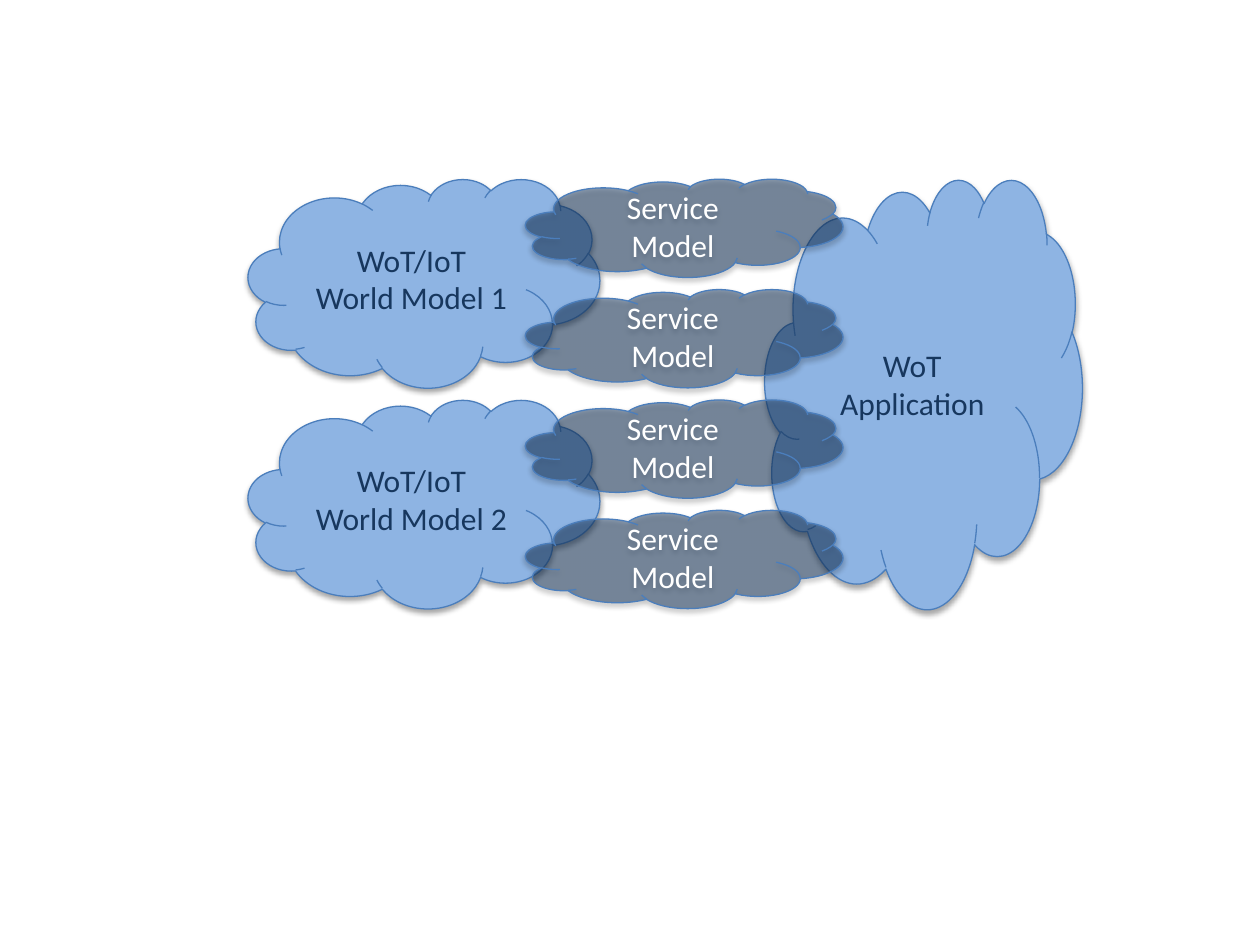
import pptx
import pptx.util
import pptx.dml.color
import pptx.enum.shapes
import pptx.enum.text
import pptx.oxml
import pptx.oxml.ns

TOP = 1.42
ROW_PITCH = 0.876
ROW_HEIGHT = 0.78
WORLD_COLUMN = (1.97, 2.79)
SERVICE_COLUMN = (4.17, 2.52)
APPLICATION_COLUMN = (6.07, 2.52)
SKY = "8EB4E3"
NAVY = "17375E"
OUTLINE = "4B7EBC"
WHITE = "FFFFFF"


def color(value):
    return pptx.dml.color.RGBColor.from_string(value)


def add_shadow(shape):
    shape.shadow.inherit = False
    effects = shape.element.spPr.find(pptx.oxml.ns.qn("a:effectLst"))
    effects.append(pptx.oxml.parse_xml(
        f'<a:outerShdw {pptx.oxml.ns.nsdecls("a")} blurRad="40000" dist="23000" '
        'dir="5400000" rotWithShape="0"><a:srgbClr val="000000">'
        '<a:alpha val="35000"/></a:srgbClr></a:outerShdw>'))


def set_opacity(shape, percent):
    fill = shape.element.spPr.find(pptx.oxml.ns.qn("a:solidFill"))
    fill[0].append(pptx.oxml.parse_xml(
        f'<a:alpha {pptx.oxml.ns.nsdecls("a")} val="{percent * 1000}"/>'))


def set_label(shape, text, text_color):
    frame = shape.text_frame
    frame.word_wrap = True
    frame.vertical_anchor = pptx.enum.text.MSO_ANCHOR.MIDDLE
    frame.text = text
    for para in frame.paragraphs:
        para.alignment = pptx.enum.text.PP_ALIGN.CENTER
        for span in para.runs:
            span.font.name = "Calibri"
            span.font.size = pptx.util.Pt(18)
            span.font.color.rgb = color(text_color)


def add_cloud(page, column, row, row_count, text, fill=SKY, text_color=NAVY):
    left, width = column
    top = TOP + row * ROW_PITCH
    height = (row_count - 1) * ROW_PITCH + ROW_HEIGHT
    cloud = page.shapes.add_shape(
        pptx.enum.shapes.MSO_SHAPE.CLOUD,
        *(pptx.util.Inches(length) for length in (left, top, width, height)))
    cloud.fill.solid()
    cloud.fill.fore_color.rgb = color(fill)
    cloud.line.color.rgb = color(OUTLINE)
    cloud.line.width = pptx.util.Pt(0.75)
    add_shadow(cloud)
    set_label(cloud, text, text_color)
    return cloud


def add_world(page, number):
    add_cloud(page, WORLD_COLUMN, 2 * (number - 1), 2, f"WoT/IoT\nWorld Model {number}")


def add_services(page, rows):
    for row in rows:
        service = add_cloud(page, SERVICE_COLUMN, row, 1, "Service\nModel", NAVY, WHITE)
        set_opacity(service, 50)


def main():
    deck = pptx.Presentation()
    deck.slide_width = pptx.util.Inches(10)
    deck.slide_height = pptx.util.Inches(7.5)
    page = deck.slides.add_slide(deck.slide_layouts[6])
    add_world(page, 1)
    add_cloud(page, APPLICATION_COLUMN, 0, 4, "WoT\nApplication")
    add_services(page, (0, 1))
    add_world(page, 2)
    add_services(page, (2, 3))
    deck.save("out.pptx")


if __name__ == "__main__":
    main()
